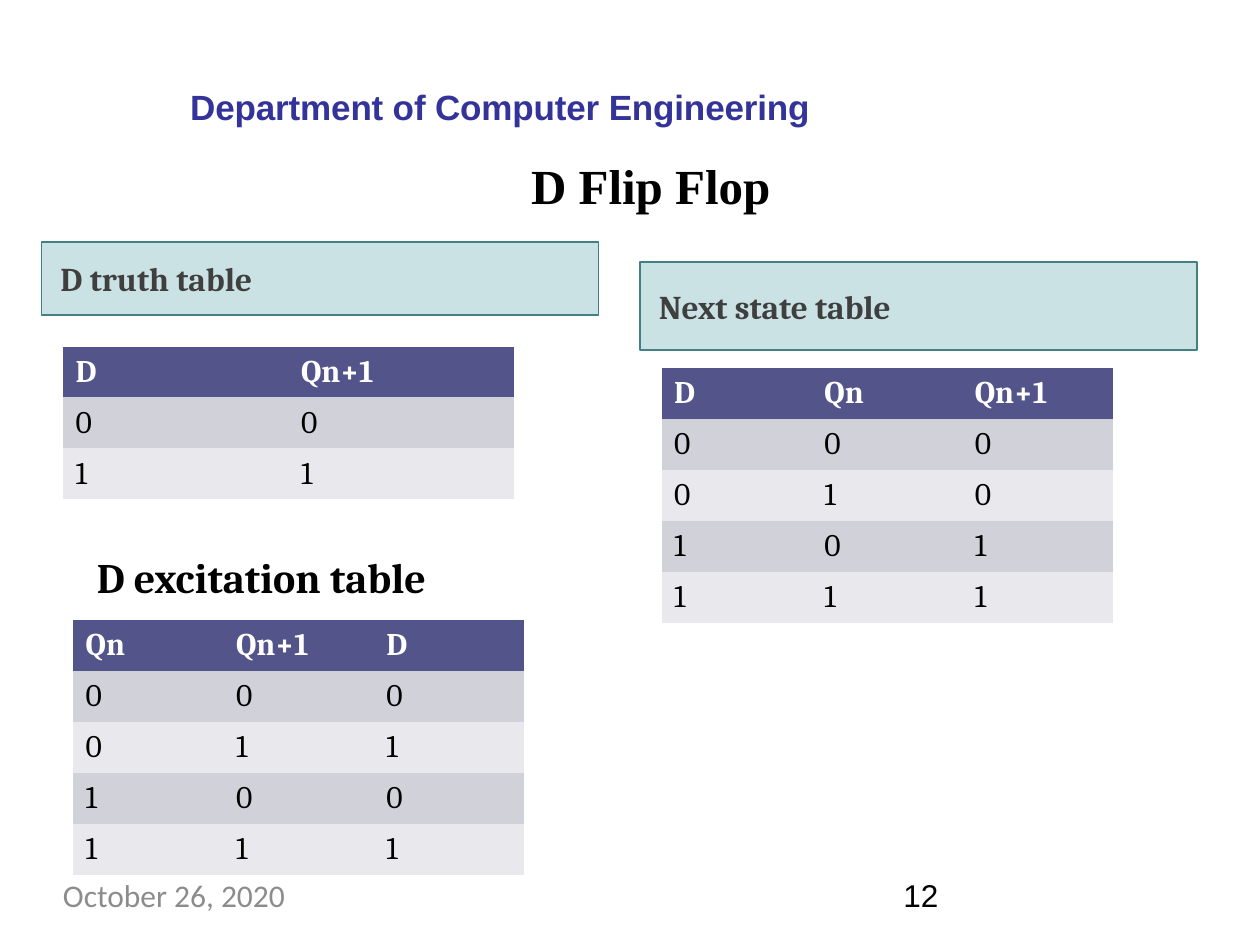
from dataclasses import dataclass

import pptx
import pptx.dml.color
import pptx.enum.shapes
import pptx.enum.text
import pptx.oxml.ns
import pptx.util
from lxml import etree
from pptx.util import Inches

ALIGN = pptx.enum.text.PP_ALIGN
ANCHOR = pptx.enum.text.MSO_ANCHOR
NO_STYLE_NO_GRID = "{2D5ABB26-0587-4C30-8999-92F81FD0307C}"


@dataclass(frozen=True)
class Theme:
    serif: str = "Cambria"
    title_font: str = "Times New Roman"
    sans: str = "Arial"
    date_font: str = "Calibri"
    black: str = "000000"
    white: str = "FFFFFF"
    department: str = "333399"
    banner_text: str = "3F3F3F"
    banner_fill: str = "328E97"
    banner_line: str = "438086"
    banner_opacity: int = 25
    header_fill: str = "53548A"
    band_fills: tuple = ("D1D1DA", "E9E9ED")
    date: str = "8C8C8C"
    title_size: float = 28
    heading_size: float = 24
    department_size: float = 20
    banner_size: float = 19
    text_size: float = 18


@dataclass(frozen=True)
class Box:
    left: float
    top: float
    width: float
    height: float

    def lengths(self) -> tuple:
        return tuple(map(Inches, (self.left, self.top, self.width, self.height)))


@dataclass(frozen=True)
class Banner:
    text: str
    box: Box


@dataclass(frozen=True)
class StateTable:
    left: float
    top: float
    rows: tuple


@dataclass(frozen=True)
class Label:
    text: str
    box: Box
    font: str
    size: float
    color: str
    bold: bool = False
    margins: tuple = (0, 0, 0, 0)
    spacing: float | None = None


THEME = Theme()
TABLE_WIDTH, ROW_HEIGHT = 3.58, 0.405
CELL_MARGINS = (0.1, 0.06, 0.1, 0.05)

BANNERS = (
    Banner("D truth table", Box(0.33, 1.92, 4.42, 0.58)),
    Banner("Next state table", Box(5.08, 2.08, 4.42, 0.7)),
)
# Each string is one row, with its cells separated by spaces
TABLES = (
    StateTable(0.5, 2.75, ("D Qn+1", "0 0", "1 1")),
    StateTable(5.25, 2.92, ("D Qn Qn+1", "0 0 0", "0 1 0", "1 0 1", "1 1 1")),
    StateTable(0.58, 4.92, ("Qn Qn+1 D", "0 0 0", "0 1 1", "1 0 0", "1 1 1")),
)
LABELS = (
    Label("D excitation table", Box(0.67, 4.33, 4.25, 0.9), THEME.serif,
          THEME.heading_size, THEME.black, True, (0.1, 0.05, 0.1, 0.05)),
    Label("October 26, 2020", Box(0.5, 6.95, 2.33, 0.4), THEME.date_font,
          THEME.text_size, THEME.date),
    Label("12", Box(7.17, 6.95, 2.33, 0.4), THEME.sans, THEME.text_size, THEME.black),
    Label("Department of Computer Engineering", Box(1.5, 0.66, 4.98, 0.36), THEME.sans,
          THEME.department_size, THEME.department, True, (0.01, 0.02, 0, 0), -0.1),
)


def rgb(color: str) -> pptx.dml.color.RGBColor:
    return pptx.dml.color.RGBColor.from_string(color)


def write_text(text_frame, text: str, *, font: str, size: float, color: str,
               bold: bool = False, align=ALIGN.LEFT, line_spacing: float | None = None,
               space_before: float = 0, spacing: float | None = None) -> None:
    paragraph = text_frame.paragraphs[0]
    paragraph.alignment = align
    paragraph.space_before = pptx.util.Pt(space_before)
    if line_spacing is not None:
        paragraph.line_spacing = line_spacing
    run = paragraph.add_run()
    run.text = text
    run.font.name = font
    run.font.size = pptx.util.Pt(size)
    run.font.bold = bold
    run.font.color.rgb = rgb(color)
    if spacing is not None:
        run.font._element.set("spc", str(round(spacing * 100)))


def set_margins(holder, margins: tuple) -> None:
    (holder.margin_left, holder.margin_top,
     holder.margin_right, holder.margin_bottom) = map(Inches, margins)


def add_banner(slide, banner: Banner) -> None:
    shape = slide.shapes.add_shape(
        pptx.enum.shapes.MSO_SHAPE.RECTANGLE, *banner.box.lengths())
    shape.shadow.inherit = False
    shape.fill.solid()
    shape.fill.fore_color.rgb = rgb(THEME.banner_fill)
    color = shape._element.spPr.find(".//" + pptx.oxml.ns.qn("a:srgbClr"))
    alpha = etree.SubElement(color, pptx.oxml.ns.qn("a:alpha"))
    alpha.set("val", str(THEME.banner_opacity * 1000))
    shape.line.color.rgb = rgb(THEME.banner_line)
    shape.line.width = pptx.util.Pt(1)
    text_frame = shape.text_frame
    text_frame.vertical_anchor = ANCHOR.MIDDLE
    set_margins(text_frame, (0.15, 0.05, 0.1, 0.05))
    write_text(text_frame, banner.text, font=THEME.serif, size=THEME.banner_size,
               color=THEME.banner_text, bold=True, space_before=3)


def add_state_table(slide, state_table: StateTable) -> None:
    rows = [row.split() for row in state_table.rows]
    box = Box(state_table.left, state_table.top, TABLE_WIDTH, ROW_HEIGHT * len(rows))
    table = slide.shapes.add_table(len(rows), len(rows[0]), *box.lengths()).table
    table.first_row = table.horz_banding = False
    table._tbl.tblPr.find(pptx.oxml.ns.qn("a:tableStyleId")).text = NO_STYLE_NO_GRID
    for row_index, row in enumerate(rows):
        header = row_index == 0
        fill = THEME.header_fill if header else THEME.band_fills[(row_index - 1) % 2]
        for column_index, text in enumerate(row):
            cell = table.cell(row_index, column_index)
            cell.fill.solid()
            cell.fill.fore_color.rgb = rgb(fill)
            set_margins(cell, CELL_MARGINS)
            write_text(cell.text_frame, text, font=THEME.serif, size=THEME.text_size,
                       color=THEME.white if header else THEME.black,
                       bold=header, line_spacing=0.97)


def add_label(slide, label: Label) -> None:
    text_frame = slide.shapes.add_textbox(*label.box.lengths()).text_frame
    text_frame.word_wrap = True
    set_margins(text_frame, label.margins)
    write_text(text_frame, label.text, font=label.font, size=label.size,
               color=label.color, bold=label.bold, spacing=label.spacing)


def set_title(slide, text: str, box: Box) -> None:
    title = slide.shapes.title
    title.left, title.top, title.width, title.height = box.lengths()
    title.text_frame.vertical_anchor = ANCHOR.MIDDLE
    write_text(title.text_frame, text, font=THEME.title_font, size=THEME.title_size,
               color=THEME.black, bold=True, align=ALIGN.CENTER)


def main() -> None:
    presentation = pptx.Presentation()
    presentation.slide_width, presentation.slide_height = Inches(10), Inches(7.5)
    slide = presentation.slides.add_slide(presentation.slide_layouts[5])

    # Title
    set_title(slide, "D Flip Flop", Box(0.58, 1.17, 9.17, 0.59))
    # Section banners and their tables
    for banner in BANNERS:
        add_banner(slide, banner)
    for state_table in TABLES:
        add_state_table(slide, state_table)
    # Department, excitation heading, date and page number
    for label in LABELS:
        add_label(slide, label)

    presentation.save("out.pptx")


if __name__ == "__main__":
    main()
